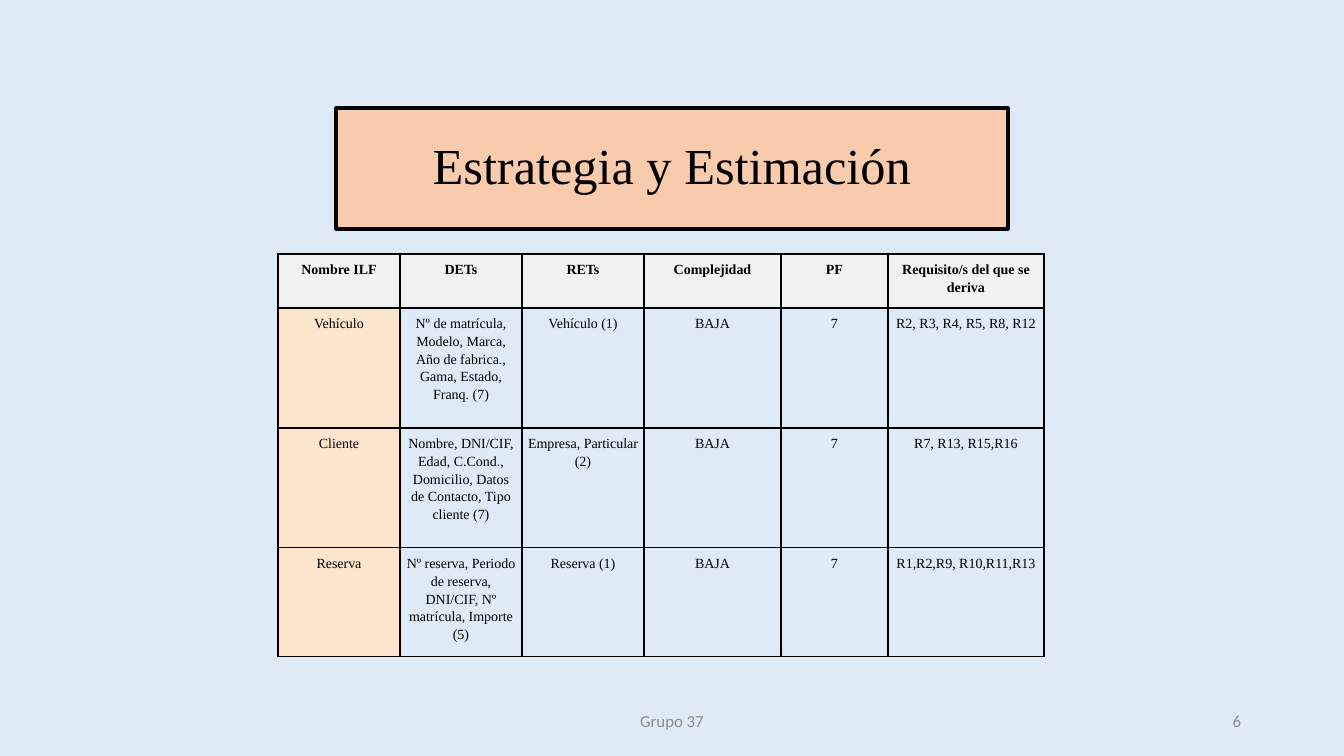
from lxml.etree import SubElement
from pptx import Presentation
from pptx.dml.color import RGBColor
from pptx.enum.shapes import MSO_SHAPE
from pptx.enum.text import MSO_ANCHOR, PP_ALIGN
from pptx.oxml.ns import qn
from pptx.util import Emu, Pt

EMU_PER_PX = 914400 / 100.8
SERIF = "Times New Roman"
COLUMN_WIDTHS = [122, 122, 122, 137, 107, 156]
ROW_HEIGHTS = [54, 120, 120, 108]
ROWS = [
    ["Nombre ILF", "DETs", "RETs", "Complejidad", "PF", "Requisito/s del que se deriva"],
    ["Vehículo", "Nº de matrícula, Modelo, Marca, Año de fabrica., Gama, Estado, Franq. (7)",
     "Vehículo (1)", "BAJA", "7", "R2, R3, R4, R5, R8, R12"],
    ["Cliente", "Nombre, DNI/CIF, Edad, C.Cond., Domicilio, Datos de Contacto, Tipo cliente (7)",
     "Empresa, Particular (2)", "BAJA", "7", "R7, R13, R15,R16"],
    ["Reserva", "Nº reserva, Periodo de reserva, DNI/CIF, Nº matrícula, Importe (5)",
     "Reserva (1)", "BAJA", "7", "R1,R2,R9, R10,R11,R13"],
]


def px(length):
    return Emu(round(length * EMU_PER_PX))


def color(hex_string):
    return RGBColor.from_string(hex_string)


def write_text(frame, text, *, size, font=SERIF, ink="000000", bold=False,
               align=PP_ALIGN.CENTER, spacing=1.0):
    paragraph = frame.paragraphs[0]
    paragraph.alignment = align
    paragraph.line_spacing = spacing
    run = paragraph.add_run()
    run.text = text
    run.font.size = Pt(size)
    run.font.name = font
    run.font.bold = bold
    run.font.color.rgb = color(ink)


def set_borders(cell, ink, width):
    properties = cell._tc.get_or_add_tcPr()
    for side in ("a:lnL", "a:lnR", "a:lnT", "a:lnB"):
        line = SubElement(properties, qn(side), w=str(Pt(width)))
        fill = SubElement(line, qn("a:solidFill"))
        SubElement(fill, qn("a:srgbClr"), val=ink)


def add_title(slide, left, top, width, height):
    shape = slide.shapes.add_shape(MSO_SHAPE.RECTANGLE, px(left), px(top), px(width), px(height))
    shape.shadow.inherit = False
    shape.fill.solid()
    shape.fill.fore_color.rgb = color("F8CBAD")
    shape.line.color.rgb = color("000000")
    shape.line.width = Pt(2.25)
    shape.text_frame.word_wrap = True
    shape.text_frame.vertical_anchor = MSO_ANCHOR.MIDDLE
    write_text(shape.text_frame, "Estrategia y Estimación", size=36, spacing=0.9)


def fill_cell(cell, row, column):
    set_borders(cell, "000000", 1)
    if row == 0 or column == 0:
        cell.fill.solid()
        cell.fill.fore_color.rgb = color("F2F2F2" if row == 0 else "FCE5CD")
    else:
        cell.fill.background()
    cell.margin_left = cell.margin_right = px(6)
    cell.margin_top = cell.margin_bottom = px(6)
    write_text(cell.text_frame, ROWS[row][column], size=10, bold=row == 0, spacing=1.15)


def add_estimation_table(slide, left, top):
    frame = slide.shapes.add_table(len(ROW_HEIGHTS), len(COLUMN_WIDTHS), px(left), px(top),
                                   px(sum(COLUMN_WIDTHS)), px(sum(ROW_HEIGHTS)))
    table = frame.table
    table.horz_banding = False
    for column, width in zip(table.columns, COLUMN_WIDTHS):
        column.width = px(width)
    for row, height in enumerate(ROW_HEIGHTS):
        table.rows[row].height = px(height)
        for column in range(len(COLUMN_WIDTHS)):
            fill_cell(table.cell(row, column), row, column)


def add_footer_text(slide, text, left, top, width, height, align):
    box = slide.shapes.add_textbox(px(left), px(top), px(width), px(height))
    box.text_frame.word_wrap = True
    box.text_frame.vertical_anchor = MSO_ANCHOR.MIDDLE
    write_text(box.text_frame, text, size=12, font="Calibri", ink="8C8C8C", align=align)


def add_footer(slide, left, top, height):
    group_width, number_width = 454, 302
    add_footer_text(slide, "Grupo 37", left, top, group_width, height, PP_ALIGN.CENTER)
    add_footer_text(slide, "6", left + group_width + 50, top, number_width, height, PP_ALIGN.RIGHT)


def main():
    presentation = Presentation()
    presentation.slide_width = px(1344)
    presentation.slide_height = px(756)
    slide = presentation.slides.add_slide(presentation.slide_layouts[6])
    slide.background.fill.solid()
    slide.background.fill.fore_color.rgb = color("DEEBF7")
    add_title(slide, 336, 108, 672, 121)
    add_footer(slide, 445, 701, 40)
    add_estimation_table(slide, 278, 254)
    presentation.save("out.pptx")


if __name__ == "__main__":
    main()
